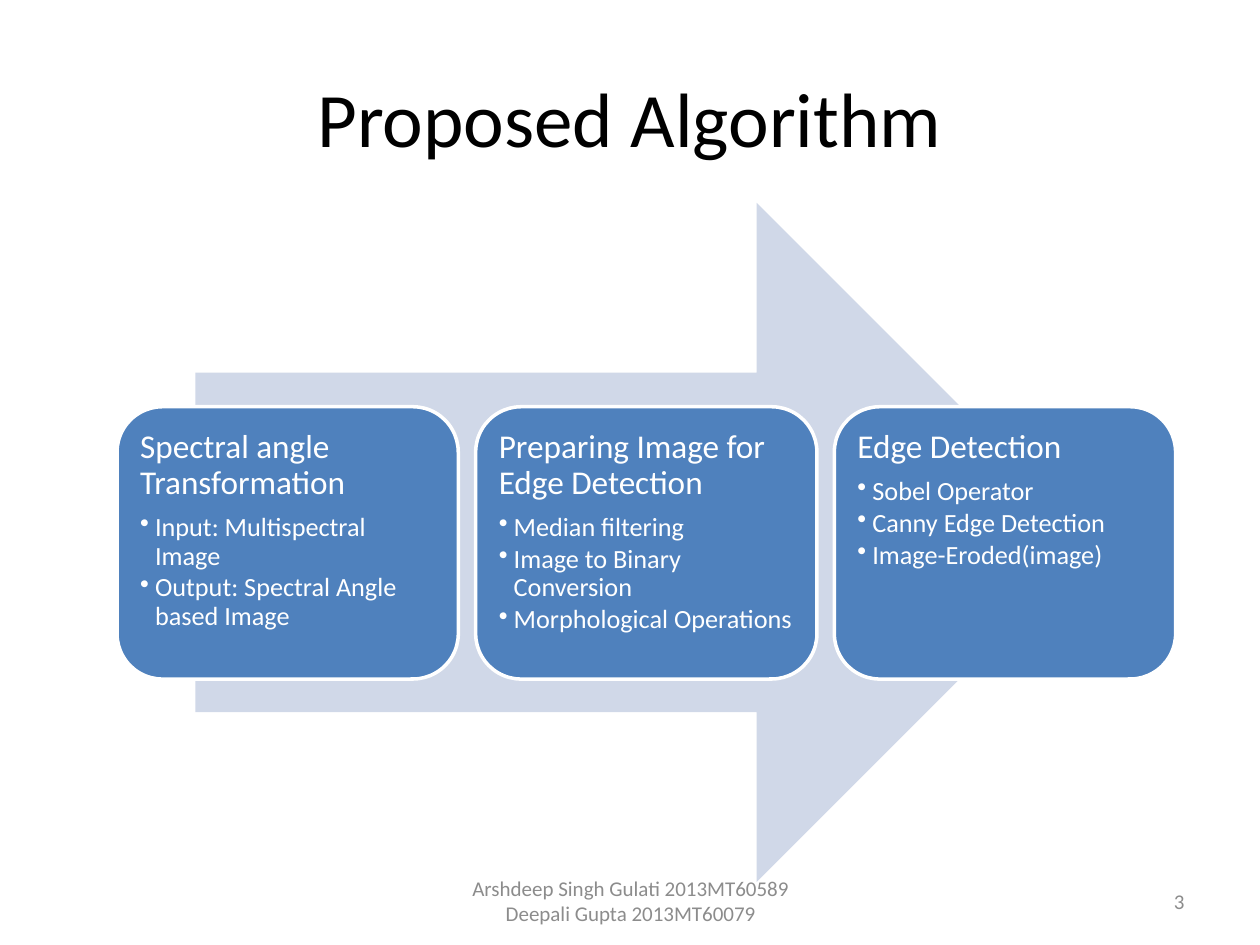
"""Build the Proposed Algorithm slide: three step cards over a wide arrow."""
from lxml import etree
from pptx import Presentation
from pptx.dml.color import RGBColor
from pptx.enum.shapes import MSO_SHAPE
from pptx.enum.text import MSO_ANCHOR, PP_ALIGN
from pptx.oxml.ns import qn
from pptx.util import Cm, Pt

ARROW, CARD = MSO_SHAPE.RIGHT_ARROW, MSO_SHAPE.ROUNDED_RECTANGLE
TOP, MIDDLE = MSO_ANCHOR.TOP, MSO_ANCHOR.MIDDLE
LEFT, CENTER, RIGHT = PP_ALIGN.LEFT, PP_ALIGN.CENTER, PP_ALIGN.RIGHT

THEME = {
    "font": "Calibri",
    "ink": "000000", "grey": "8C8C8C", "white": "FFFFFF",
    "arrow": "D0D8E8", "card": "4F81BD",
    "title": 44, "head": 19, "item": 15, "foot": 12,
}

STEPS = [
    ("Spectral angle Transformation",
     ["Input: Multispectral Image", "Output: Spectral Angle based Image"]),
    ("Preparing Image for Edge Detection",
     ["Median filtering", "Image to Binary Conversion", "Morphological Operations"]),
    ("Edge Detection",
     ["Sobel Operator", "Canny Edge Detection", "Image-Eroded(image)"]),
]
FOOT = [
    ("Arshdeep Singh Gulati 2013MT60589 Deepali Gupta 2013MT60079", 8.69, 8.05, CENTER),
    ("3", 18.21, 5.92, RIGHT),
]


def write(para, text, size, color, **form):
    run = para.add_run()
    run.text = text
    run.font.name = THEME["font"]
    run.font.size = Pt(THEME[size])
    run.font.color.rgb = RGBColor.from_string(THEME[color])
    for key, value in form.items():
        setattr(para, key, value)


def block(kind, color, *box):
    shape = slide.shapes.add_shape(kind, *map(Cm, box))
    shape.shadow.inherit = False
    shape.fill.solid()
    shape.fill.fore_color.rgb = RGBColor.from_string(THEME[color])
    shape.line.fill.background()
    return shape


deck = Presentation()
deck.slide_width, deck.slide_height = Cm(25.4), Cm(19.05)
slide = deck.slides.add_slide(deck.slide_layouts[5])

title = slide.shapes.title
title.left, title.top, title.width, title.height = map(Cm, (1.27, 0.76, 22.86, 3.18))
title.text_frame.vertical_anchor = MIDDLE
write(title.text_frame.paragraphs[0], "Proposed Algorithm", "title", "ink", alignment=CENTER)

for text, left, width, align in FOOT:
    frame = slide.shapes.add_textbox(Cm(left), Cm(17.65), Cm(width), Cm(1.02)).text_frame
    frame.word_wrap = True
    frame.vertical_anchor = MIDDLE
    write(frame.paragraphs[0], text, "foot", "grey", alignment=align)

block(ARROW, "arrow", 3.94, 4.09, 18.16, 13.69)

inset = {f"margin_{side}": Cm(0.2) for side in ("left", "top", "right", "bottom")}
for index, (head, items) in enumerate(STEPS):
    card = block(CARD, "card", 2.36 + index * 7.23, 8.2, 6.88, 5.49)
    card.line.color.rgb = RGBColor.from_string(THEME["white"])
    card.line.width = Pt(2)
    frame = card.text_frame
    for key, value in {**inset, "word_wrap": True, "vertical_anchor": TOP}.items():
        setattr(frame, key, value)
    write(frame.paragraphs[0], head, "head", "white",
          alignment=LEFT, line_spacing=0.9, space_after=Pt(7))
    for item in items:
        para = frame.add_paragraph()
        write(para, item, "item", "white", level=1,
              alignment=LEFT, line_spacing=0.9, space_after=Pt(2))
        props = para._p.get_or_add_pPr()
        props.set("marL", str(Cm(0.3)))
        props.set("indent", str(-Cm(0.3)))
        etree.SubElement(props, qn("a:buChar")).set("char", "•")

deck.save("out.pptx")
